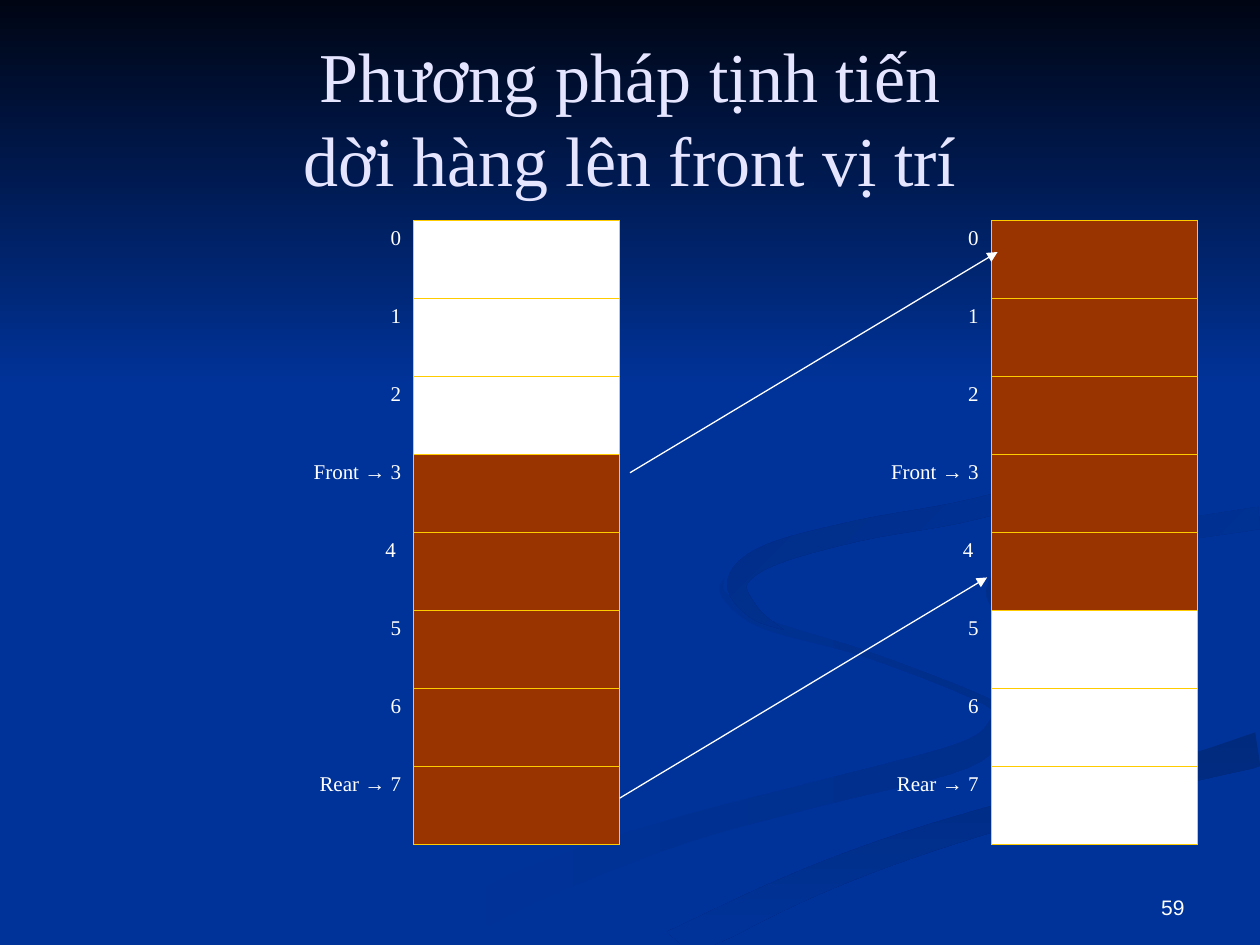
from math import hypot

from lxml.etree import SubElement
from pptx import Presentation
from pptx.dml.color import RGBColor
from pptx.enum.shapes import MSO_CONNECTOR, MSO_SHAPE
from pptx.enum.text import MSO_ANCHOR, MSO_AUTO_SIZE, PP_ALIGN
from pptx.oxml.ns import qn
from pptx.util import Cm, Pt

NAVY, GOLD, RUST, WHITE = "003399", "FFCC00", "993300", "FFFFFF"
LILAC, NIGHT = "E5E5FF", "000514"
SERIF, SANS = "Times New Roman", "Arial"
LABELS = ["0", "1", "2", "Front → 3", "4 ", "5", "6", "Rear → 7"]
STEPS = 6

LOOP = [(14.6, 11.66, 0), (14.6, 12, 0.12), (15.4, 12.57, 0.2),
        (17.5, 13.2, 0.12), (19.9, 14.15, 0.15), (20.1, 14.6, 0.33),
        (19.4, 15.24, 0.53), (16.5, 16, 0.5), (13.7, 16.75, 0.55),
        (10.8, 17.8, 0.7), (8.2, 19.1, 0.7)]
TAIL = [(13.6, 19.1, 0.7), (16, 17.93, 0.6), (18.3, 17.04, 0.55),
        (21.1, 16.2, 0.5), (23.4, 15.65, 0.5), (25.4, 15.1, 0.7)]
EDGE = [(25.4, 10.44, 0.45), (22.8, 10.85, 0.43), (20.9, 11.3, 0.45),
        (20.2, 11.85, 0.6), (20.35, 12.3, 0.35), (21, 12.6, 0)]
HOOK = [(19.35, 5.92, 0), (21.6, 7.1, 0.1), (22.6, 8.5, 0.13),
        (22.05, 9.5, 0.35), (19.7, 10.25, 0.42), (17.3, 10.7, 0.42),
        (15.5, 11.2, 0.45), (14.86, 11.75, 0.4), (15.2, 12.35, 0.25),
        (15.8, 12.7, 0)]
RIBBONS = [(LOOP, NAVY, "002E8B", 0), (TAIL, "002A7D", NAVY, 90),
           (EDGE, "002D86", NAVY, 45), (HOOK, "002B82", NAVY, 45)]


def tint(code):
    """Return the colour for a hex string."""
    return RGBColor.from_string(code)


def style(para, size, code, name, align):
    """Format one paragraph."""
    para.alignment = align
    font = para.font
    font.size, font.name, font.bold = Pt(size), name, False
    font.color.rgb = tint(code)


def shade(shape, first, last, turn):
    """Fill a shape with a two-stop gradient turned clockwise."""
    shape.shadow.inherit = False
    shape.line.fill.background()
    fill = shape.fill
    fill.gradient()
    fill.gradient_angle = (360 - turn) % 360
    for stop, code in zip(fill.gradient_stops, (first, last)):
        stop.color.rgb = tint(code)


def blend(a, b, c, d, t):
    """Return the Catmull-Rom value between b and c."""
    return b + t / 2 * (c - a + t * (2 * a - 5 * b + 4 * c - d
                                     + t * (3 * (b - c) + d - a)))


def smooth(nodes):
    """Return a smooth run of (x, y, thickness) through the nodes."""
    ends = [nodes[0], *nodes, nodes[-1]]
    run = [tuple(blend(*axis, step / STEPS) for axis in zip(*four))
           for four in zip(ends, ends[1:], ends[2:], ends[3:])
           for step in range(STEPS)]
    return run + [nodes[-1]]


def ribbon(slide, left, top, width, height, nodes):
    """Draw a band of varying thickness along its nodes, cut at the box."""
    run = smooth(nodes)
    near, far = [], []
    for back, (x, y, thick), ahead in zip(
            [run[0], *run], run, [*run[1:], run[-1]]):
        across, down = ahead[0] - back[0], ahead[1] - back[1]
        half = max(thick, 0) / 2 / (hypot(across, down) or 1)
        for side, sign in ((near, 1), (far, -1)):
            side.append((min(Cm(x - sign * half * down), width),
                         min(Cm(y + sign * half * across), height)))
    first, *rest = near + far[::-1]
    path = slide.shapes.build_freeform(*first)
    path.add_line_segments(rest, close=True)
    return path.convert_to_shape(left, top)


def backdrop(slide, left, top, width, height):
    """Draw the ribbons and the dark band at the top."""
    fill = slide.background.fill
    fill.solid()
    fill.fore_color.rgb = tint(NAVY)
    for nodes, *colours in RIBBONS:
        shade(ribbon(slide, left, top, width, height, nodes), *colours)
    band = slide.shapes.add_shape(
        MSO_SHAPE.RECTANGLE, left, top, width, int(height * 0.41))
    shade(band, NIGHT, NAVY, 90)


def heading(slide, left, top, width, height):
    """Fill the title and bring it in front of the backdrop."""
    title = slide.shapes.title
    slide.shapes.element.append(title.element)
    title.left, title.top, title.width, title.height = left, top, width, height
    frame = title.text_frame
    frame.auto_size = MSO_AUTO_SIZE.NONE
    frame.vertical_anchor = MSO_ANCHOR.MIDDLE
    frame.text = "Phương pháp tịnh tiến\vdời hàng lên front vị trí"
    style(frame.paragraphs[0], 40, LILAC, SERIF, PP_ALIGN.CENTER)


def border(cell, sides):
    """Draw gold lines on the named sides and none on the others."""
    props = cell._tc.get_or_add_tcPr()
    for side in "LRTB":
        line = SubElement(props, qn(f"a:ln{side}"), w=str(Pt(0.45)))
        if side in sides:
            solid = SubElement(line, qn("a:solidFill"))
            SubElement(solid, qn("a:srgbClr"), val=GOLD)
        else:
            SubElement(line, qn("a:noFill"))


def write(cell, label):
    """Write a right-aligned label with its arrow in the sans font."""
    para = cell.text_frame.paragraphs[0]
    style(para, 12, WHITE, SERIF, PP_ALIGN.RIGHT)
    for part in filter(None, label.partition("→")):
        run = para.add_run()
        run.text = part
        if part == "→":
            run.font.name = SANS


def queue(slide, left, top, width, height, used):
    """Build a labelled column of slots with the used ones in rust."""
    table = slide.shapes.add_table(
        len(LABELS), 2, left, top, width, height).table
    table.first_row = table.horz_banding = False
    table.columns[0].width = Cm(7.07)
    table.columns[1].width = width - Cm(7.07)
    for index, label in enumerate(LABELS):
        name, slot = table.cell(index, 0), table.cell(index, 1)
        border(name, "R")
        border(slot, "LRTB")
        name.fill.background()
        slot.fill.solid()
        slot.fill.fore_color.rgb = tint(RUST if index in used else WHITE)
        write(name, label)


def arrow(slide, *ends):
    """Draw a thin white arrow between two points."""
    link = slide.shapes.add_connector(MSO_CONNECTOR.STRAIGHT, *ends)
    link.line.width = Pt(0.75)
    link.line.color.rgb = tint(WHITE)
    SubElement(link.line._get_or_add_ln(), qn("a:tailEnd"), type="triangle")
    SubElement(link.element.spPr, qn("a:effectLst"))


def number(slide, left, top, width, height):
    """Write the page number."""
    frame = slide.shapes.add_textbox(left, top, width, height).text_frame
    frame.word_wrap = True
    frame.vertical_anchor = MSO_ANCHOR.BOTTOM
    frame.text = "59"
    style(frame.paragraphs[0], 12, WHITE, SANS, PP_ALIGN.RIGHT)


def main():
    """Build and save the slide."""
    deck = Presentation()
    deck.slide_width, deck.slide_height = Cm(25.4), Cm(19.05)
    slide = deck.slides.add_slide(deck.slide_layouts[5])
    backdrop(slide, 0, 0, deck.slide_width, deck.slide_height)
    number(slide, Cm(18.21), Cm(17.35), Cm(5.92), Cm(1.32))
    heading(slide, Cm(1.27), Cm(0.76), Cm(22.86), Cm(3.18))
    for left, used in ((1.27, range(3, 8)), (12.91, range(5))):
        queue(slide, Cm(left), Cm(4.45), Cm(11.22), Cm(12.57), used)
    arrow(slide, Cm(12.7), Cm(9.53), Cm(20.11), Cm(5.08))
    arrow(slide, Cm(12.49), Cm(16.09), Cm(19.9), Cm(11.64))
    deck.save("out.pptx")


if __name__ == "__main__":
    main()
